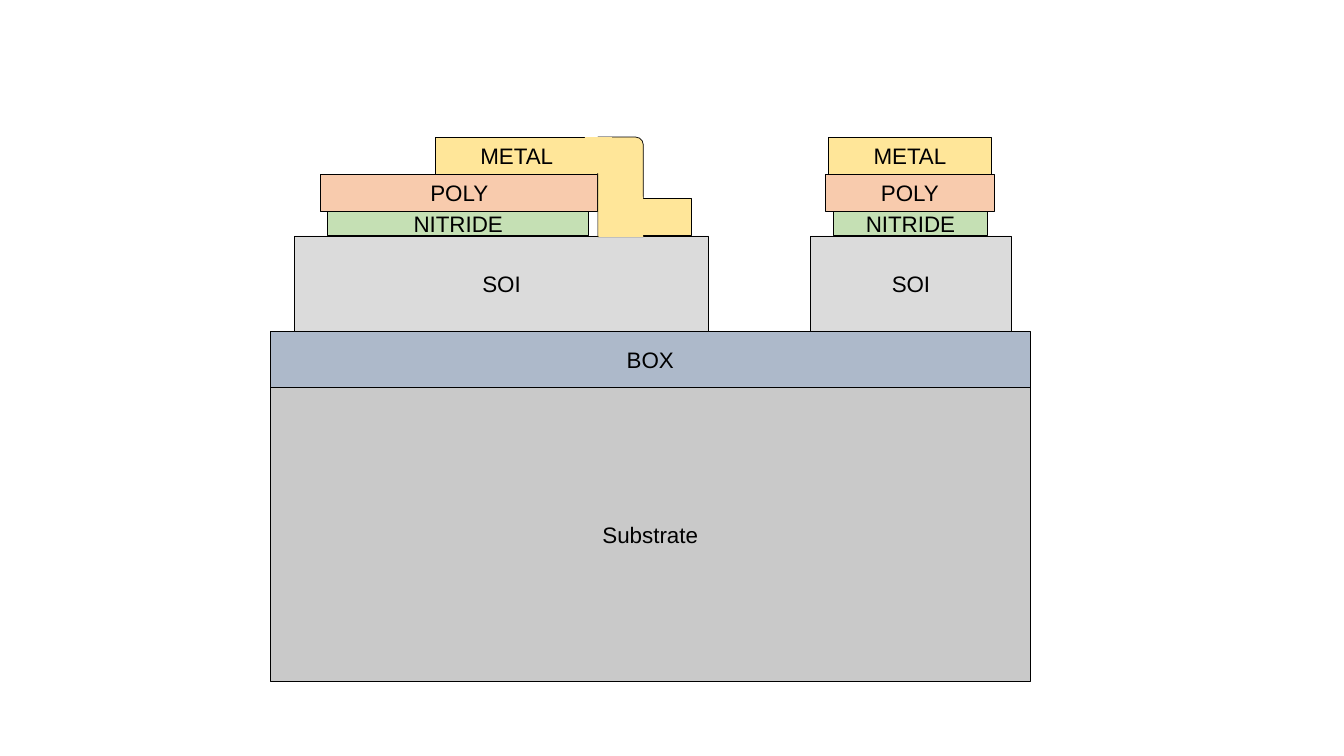
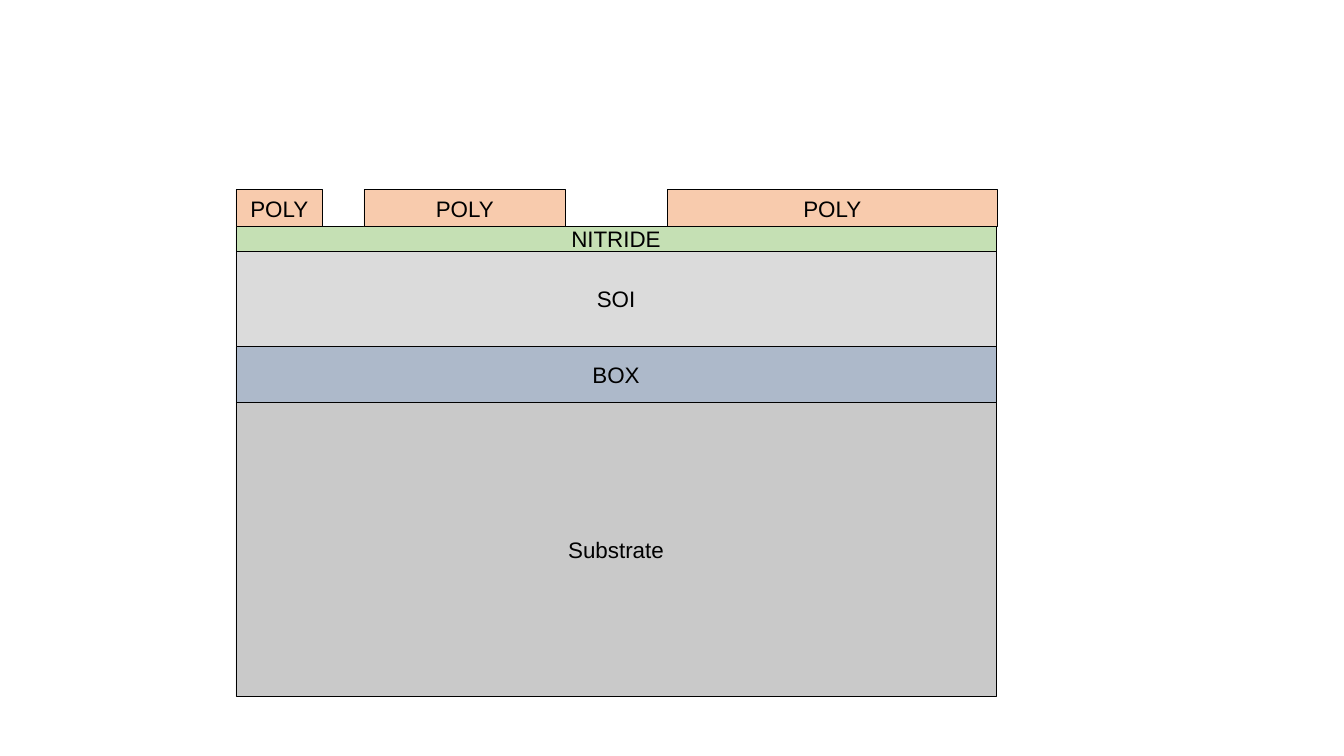
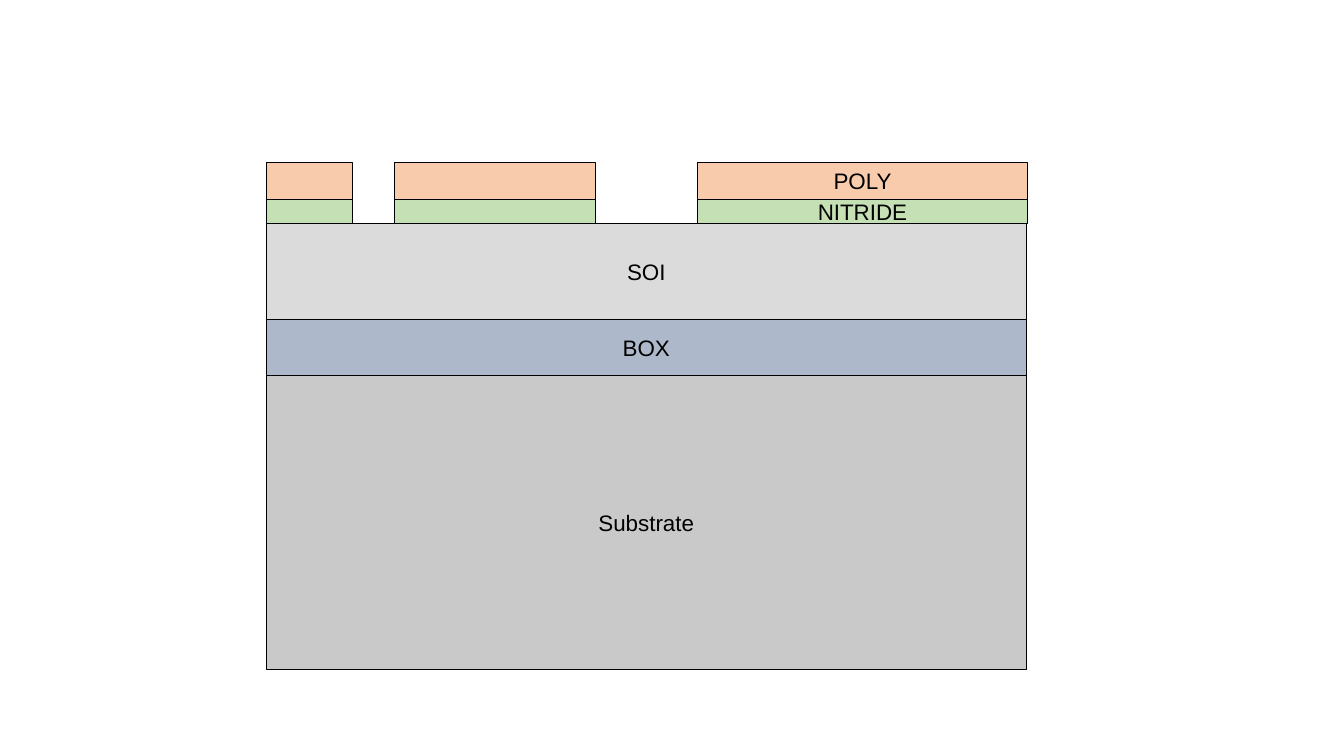
"""Three cross-sections of a layered SOI wafer process."""
import pptx
import pptx.util
import pptx.dml.color
import pptx.enum.shapes
import pptx.enum.text

Inches = pptx.util.Inches
Pt = pptx.util.Pt
SHAPES = pptx.enum.shapes.MSO_SHAPE

COLORS = {
    "Substrate": "C9C9C9",
    "BOX": "ADB9CA",
    "SOI": "DBDBDB",
    "NITRIDE": "C5E0B4",
    "POLY": "F8CBAD",
    "METAL": "FFE699",
    "ink": "000000",
}
HEIGHTS = {"Substrate": 2.92, "BOX": 0.55, "SOI": 0.95,
           "NITRIDE": 0.24, "POLY": 0.37, "METAL": 0.37}
WAFER_BOTTOMS = (6.76, 6.91, 6.64)
WAFER_LEFTS = (2.68, 2.34, 2.64)

FULL = [(0, 7.54, True)]
ISLANDS = [(0, 0.86), (1.27, 2), (4.28, 3.27)]
LABELLED_ISLANDS = [(x, width, True) for x, width in ISLANDS]
LAST_LABELLED = [(x, width, (x, width) == ISLANDS[-1]) for x, width in ISLANDS]

WAFERS = [
    {"Substrate": FULL, "BOX": FULL,
     "SOI": [(0.24, 4.11, True), (5.36, 1.99, True)],
     "NITRIDE": [(0.57, 2.59, True), (5.59, 1.52, True)],
     "POLY": [(0.5, 2.75, True), (5.51, 1.67, True)],
     "METAL": [(1.64, 1.61, True), (5.54, 1.61, True)]},
    {"Substrate": FULL, "BOX": FULL, "SOI": FULL,
     "NITRIDE": FULL, "POLY": LABELLED_ISLANDS},
    {"Substrate": FULL, "BOX": FULL, "SOI": FULL,
     "NITRIDE": LAST_LABELLED, "POLY": LAST_LABELLED},
]

METAL_STEP = [
    (SHAPES.ROUND_1_RECTANGLE, 5.93, 1.36, 0.45, 0.99, True),
    (SHAPES.RECTANGLE, 5.8, 1.36, 0.27, 0.36, False),
    (SHAPES.RECTANGLE, 6.3, 1.97, 0.56, 0.37, True),
    (SHAPES.RECTANGLE, 5.94, 1.95, 0.44, 0.4, False),
]


def rgb(name):
    return pptx.dml.color.RGBColor.from_string(COLORS[name])


def add_block(slide, material, x, y, width, height,
              outline=SHAPES.RECTANGLE, bordered=True, label=""):
    block = slide.shapes.add_shape(
        outline, Inches(x), Inches(y), Inches(width), Inches(height))
    block.shadow.inherit = False
    block.fill.solid()
    block.fill.fore_color.rgb = rgb(material)
    if bordered:
        block.line.color.rgb = rgb("ink")
        block.line.width = Pt(0.5)
    else:
        block.line.fill.background()
    if label:
        frame = block.text_frame
        frame.text = label
        frame.vertical_anchor = pptx.enum.text.MSO_ANCHOR.MIDDLE
        caption = frame.paragraphs[0]
        caption.alignment = pptx.enum.text.PP_ALIGN.CENTER
        font = caption.runs[0].font
        font.name = "Arial"
        font.size = Pt(16)
        font.color.rgb = rgb("ink")


def add_wafer(slide, layers, left, bottom):
    top = bottom
    for material, segments in layers.items():
        height = HEIGHTS[material]
        top -= height
        for offset, width, labelled in segments:
            add_block(slide, material, left + offset, top, width, height,
                      label=material if labelled else "")


def main():
    deck = pptx.Presentation()
    deck.slide_width = Inches(13.33)
    deck.slide_height = Inches(7.5)
    blank = deck.slide_layouts[6]
    for layers, left, bottom in zip(WAFERS, WAFER_LEFTS, WAFER_BOTTOMS):
        slide = deck.slides.add_slide(blank)
        add_wafer(slide, layers, left, bottom)
        if "METAL" in layers:
            for outline, x, y, width, height, bordered in METAL_STEP:
                add_block(slide, "METAL", x, y, width, height, outline, bordered)
    deck.save("out.pptx")


if __name__ == "__main__":
    main()
